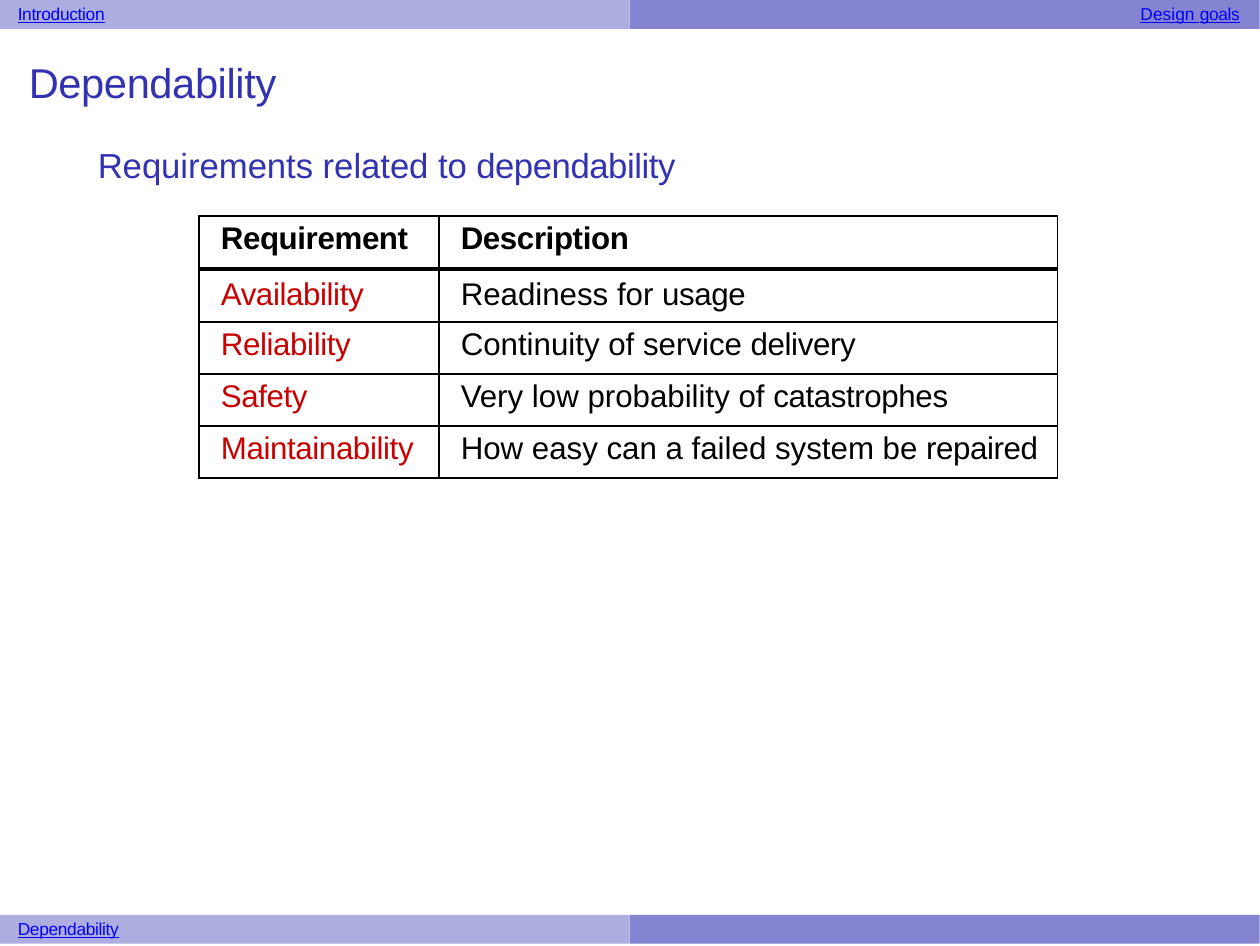
from lxml import etree
from pptx import Presentation
from pptx import util as u
from pptx.dml.color import RGBColor
from pptx.enum import shapes
from pptx.oxml.ns import qn

COLORS = {"light": "ADADE0", "dark": "8484D1", "link": "0000FF",
          "title": "3333B2", "black": "000000", "red": "C80000"}
SLIDE_SIZE = u.Pt(363), u.Pt(272.5)
HALF, BAR, FOOTER = 630, 29, 915
ROWS = [("Requirement", "Description"),
        ("Availability", "Readiness for usage"),
        ("Reliability", "Continuity of service delivery"),
        ("Safety", "Very low probability of catastrophes"),
        ("Maintainability", "How easy can a failed system be repaired")]


def px(n):
    return u.Emu(round(n * 914400 / 250))


def rgb(name):
    return RGBColor.from_string(COLORS[name])


def write(p, text, size=9, color="black", bold=False, underline=False,
          before=None, indent=0):
    """Fill a paragraph, with the last word set slightly tighter."""
    if indent:
        p._p.get_or_add_pPr().set("marL", str(px(indent)))
    if before:
        p.space_before = u.Pt(before)
    head, gap, last = text.rpartition(" ")
    for part, spacing in ((head + gap, 0), (last, -10)):
        if not part:
            continue
        r = p.add_run()
        r.text = part
        r.font.name = "Arial"
        r.font.size = u.Pt(size)
        r.font.bold = bold
        r.font.underline = underline
        r.font.color.rgb = rgb(color)
        r._r.get_or_add_rPr().set("spc", str(spacing))


def set_margins(box, left, top):
    box.margin_left, box.margin_top = px(left), px(top)
    box.margin_right = box.margin_bottom = 0


def set_borders(cell, **points):
    """Draw black cell borders; keys are the sides L, R, T and B."""
    tcPr = cell._tc.get_or_add_tcPr()
    for i, (side, width) in enumerate(points.items()):
        ln = etree.Element(qn(f"a:ln{side}"), w=str(u.Pt(width)))
        fill = etree.SubElement(ln, qn("a:solidFill"))
        etree.SubElement(fill, qn("a:srgbClr"), val=COLORS["black"])
        tcPr.insert(i, ln)


class Deck:
    def __init__(self):
        self.prs = Presentation()
        self.prs.slide_width, self.prs.slide_height = SLIDE_SIZE
        self.prs.element.find(qn("p:sldSz")).attrib.pop("type", None)
        self.s = self.prs.slides.add_slide(self.prs.slide_layouts[6])

    def bar(self, top):
        for i, color in enumerate(("light", "dark")):
            sp = self.s.shapes.add_shape(shapes.MSO_SHAPE.RECTANGLE, px(i * HALF),
                                         px(top), px(HALF), px(BAR))
            sp.shadow.inherit = False
            sp.fill.solid()
            sp.fill.fore_color.rgb = rgb(color)
            sp.line.fill.background()

    def text(self, left, top, width, height, *paragraphs):
        """Add a text box; each paragraph is a dict of write() arguments."""
        tf = self.s.shapes.add_textbox(px(left), px(top), px(width), px(height)).text_frame
        tf.word_wrap = True
        set_margins(tf, 3, 3)
        for i, args in enumerate(paragraphs):
            write(tf.add_paragraph() if i else tf.paragraphs[0], **args)

    def link(self, left, top, width, text):
        self.text(left, top, width, BAR,
                  dict(text=text, size=5, color="link", underline=True))

    def table(self, left, top, widths, heights, rows):
        frame = self.s.shapes.add_table(len(rows), len(widths), px(left), px(top),
                                        px(sum(widths)), px(sum(heights)))
        table = frame.table
        table.first_row = table.horz_banding = False
        for column, width in zip(table.columns, widths):
            column.width = px(width)
        for i, row in enumerate(rows):
            table.rows[i].height = px(heights[i])
            for j, text in enumerate(row):
                cell = table.cell(i, j)
                cell.fill.background()
                set_margins(cell, 22, 8 if i == 1 else 5)
                set_borders(cell, L=0.5, R=0.5, T=1.5 if i == 1 else 0.5,
                            B=1.5 if i == 0 else 0.5)
                write(cell.text_frame.paragraphs[0], text, bold=i == 0,
                      color="red" if i and j == 0 else "black")


def main():
    deck = Deck()
    deck.bar(0)
    deck.link(15, 0, 100, "Introduction")
    deck.link(1138, 0, 112, "Design goals")
    deck.text(26, 54, 660, 135,
              dict(text="Dependability", size=12, color="title"),
              dict(text="Requirements related to dependability", size=10,
                   color="title", before=10.6, indent=69))
    deck.table(199, 216, (240, 619), (53, 53, 52, 52, 52), ROWS)
    deck.bar(FOOTER)
    deck.link(15, FOOTER, 115, "Dependability")
    deck.prs.save("out.pptx")


if __name__ == "__main__":
    main()
